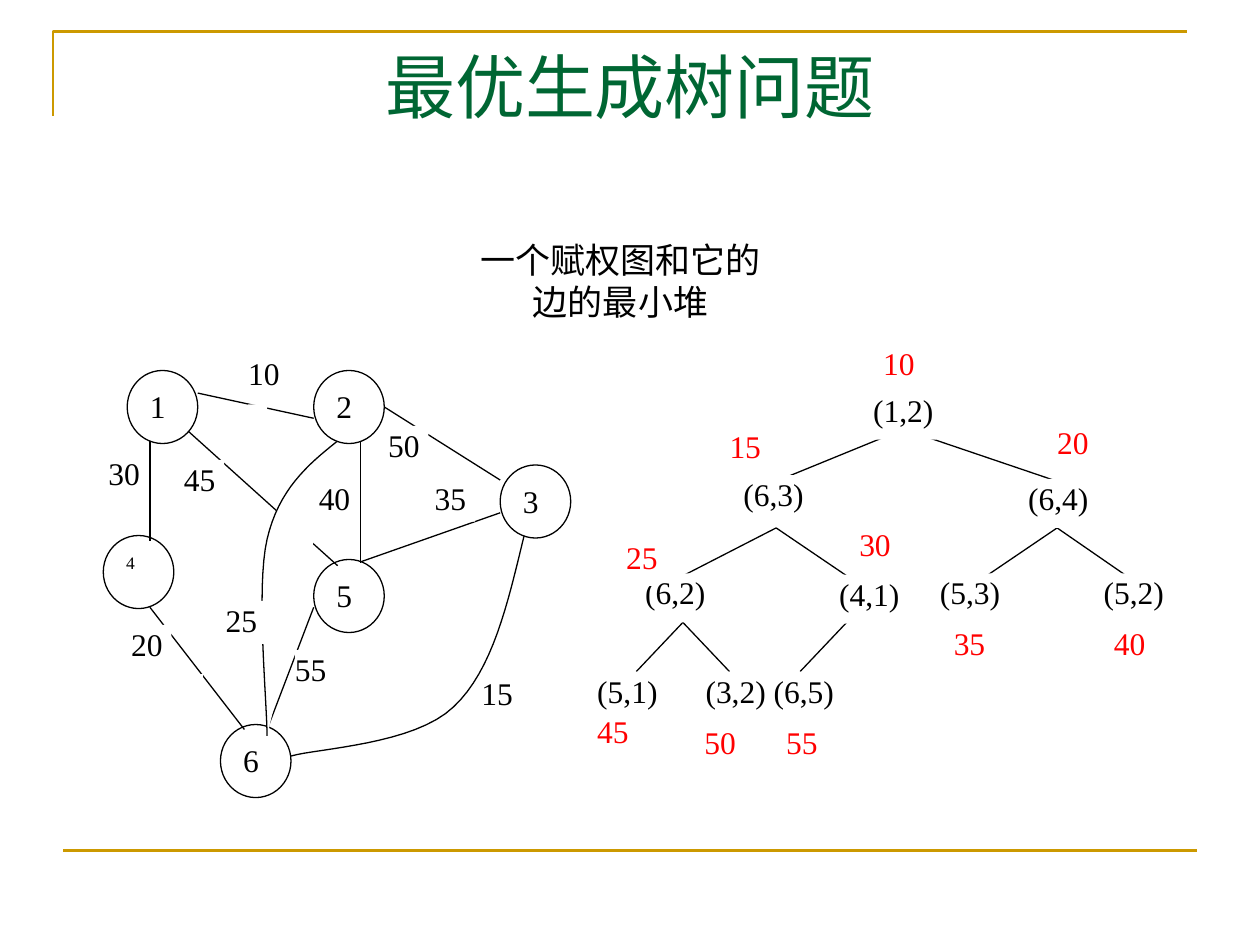
from lxml import etree
from pptx import Presentation
from pptx.dml.color import RGBColor
from pptx.enum.shapes import MSO_CONNECTOR, MSO_SHAPE
from pptx.enum.text import MSO_ANCHOR, PP_ALIGN
from pptx.oxml.ns import qn
from pptx.util import Inches, Pt

BLACK = RGBColor(0, 0, 0)
WHITE = RGBColor(255, 255, 255)
RED = RGBColor(255, 0, 0)
GREEN = RGBColor(0, 0x66, 0x33)
GOLD = RGBColor(0xCC, 0x99, 0)
SERIF, TITLE_FONT = "Times New Roman", "TeX Gyre Pagella"

TITLE = "最优生成树问题"
CAPTION = ["一个赋权图和它的", "边的最小堆"]

# Graph: node -> (left, top, text size)
NODE_SIZE = (0.56, 0.58)
LOWER_NODES = {"5": (2.49, 4.44, 18), "4": (0.82, 4.25, 10),
               "6": (1.75, 5.75, 18), "3": (3.97, 3.69, 18)}
UPPER_NODES = {"1": (1.01, 2.94, 18), "2": (2.49, 2.94, 18)}
GRAPH_EDGES = [
    ((1.19, 3.32), (1.19, 4.29)), ((1.57, 3.12), (2.49, 3.32)),
    ((1.38, 3.32), (2.68, 4.49)), ((3.97, 4.07), (2.86, 4.46)),
    ((2.49, 4.82), (2.12, 5.79)), ((3.05, 3.23), (3.97, 3.81)),
    ((1.19, 4.82), (1.94, 5.79)), ((2.86, 3.5), (2.86, 4.47)),
]
# Each curve is a chain of Bezier points: start, then three per segment
CURVED_EDGES = [
    [(4.16, 4.25), (4.03, 4.79), (3.91, 5.32), (3.6, 5.61),
     (3.29, 5.91), (2.52, 5.94), (2.31, 6)],
    [(2.68, 3.5), (2.44, 3.69), (2.21, 3.89), (2.12, 4.28),
     (2.03, 4.67), (2.12, 5.58), (2.12, 5.84)],
]
WEIGHT_SIZE = (0.32, 0.34)
WEIGHTS = [("10", 1.97, 2.81), ("20", 1.04, 4.96), ("30", 0.86, 3.6),
           ("40", 2.53, 3.8), ("50", 3.08, 3.38), ("25", 1.79, 4.77),
           ("35", 3.45, 3.8), ("55", 2.34, 5.16), ("45", 1.46, 3.65),
           ("15", 3.82, 5.35)]
GAPS = [(1.97, 3.21, 0.15), (3.64, 4.96, 0.18), (1.42, 5.35, 0.19),
        (3.35, 4.32, 0.15), (1.88, 4.18, 0.15)]

# Heap: branch start -> branch ends
BRANCHES = {
    (7.09, 3.44): [(6.16, 3.82)], (7.27, 3.44): [(8.39, 3.82)],
    (6.16, 4.19): [(5.42, 4.57), (6.72, 4.57)],
    (8.39, 4.19): [(7.83, 4.57), (8.94, 4.57)],
    (5.42, 4.94): [(5.05, 5.33), (5.79, 5.33)],
    (6.72, 4.94): [(6.35, 5.33)],
}
PAIR_SIZE, KEY_SIZE = (0.5, 0.39), (0.26, 0.38)
PAIRS = [("(1,2)", 6.93, 3.1), ("(6,3)", 5.9, 3.77), ("(6,4)", 8.16, 3.8),
         ("(6,2)", 5.12, 4.55), ("(4,1)", 6.66, 4.56), ("(5,3)", 7.46, 4.55),
         ("(5,2)", 8.76, 4.55), ("(3,2)", 5.6, 5.33), ("(5,1)", 4.74, 5.33),
         ("(6,5)", 6.14, 5.33)]
KEYS = [("10", 7.01, 2.73), ("15", 5.79, 3.39), ("20", 8.39, 3.36),
        ("25", 4.97, 4.27), ("30", 6.82, 4.17), ("35", 7.57, 4.95),
        ("40", 8.84, 4.95), ("50", 5.59, 5.74), ("55", 6.24, 5.74),
        ("45", 4.74, 5.65)]

prs = Presentation()
prs.slide_width, prs.slide_height = Inches(10), Inches(7.5)
shapes = prs.slides.add_slide(prs.slide_layouts[6]).shapes


def write(shape, lines, size, color=BLACK, font=SERIF, align=PP_ALIGN.JUSTIFY, inset=True):
    """Put top-anchored paragraphs into a shape."""
    frame = shape.text_frame
    frame.word_wrap = True
    frame.vertical_anchor = MSO_ANCHOR.TOP
    if not inset:
        frame.margin_left = frame.margin_right = frame.margin_top = frame.margin_bottom = 0
    for i, line in enumerate(lines):
        para = frame.paragraphs[0] if i == 0 else frame.add_paragraph()
        para.alignment = align
        run = para.add_run()
        run.text = line
        run.font.size, run.font.name = Pt(size), font
        run.font.color.rgb = color


def add_box(left, top, size, kind=MSO_SHAPE.RECTANGLE, outlined=False):
    """Add a white shape, with a thin black outline if asked."""
    box = shapes.add_shape(kind, *map(Inches, (left, top, *size)))
    box.shadow.inherit = False
    box.fill.solid()
    box.fill.fore_color.rgb = WHITE
    if outlined:
        box.line.color.rgb, box.line.width = BLACK, Pt(0.75)
    else:
        box.line.fill.background()
    return box


def add_nodes(nodes):
    """Draw numbered circles."""
    for name, (left, top, size) in nodes.items():
        write(add_box(left, top, NODE_SIZE, MSO_SHAPE.OVAL, True), [name], size)


def add_labels(labels, size, color=BLACK):
    """Draw labels of one size and colour."""
    for text, left, top in labels:
        write(add_box(left, top, size), [text], 18, color, inset=False)


def add_line(start, end, color=BLACK, width=0.75):
    """Draw a straight line."""
    line = shapes.add_connector(MSO_CONNECTOR.STRAIGHT, *map(Inches, (*start, *end)))
    line.line.color.rgb, line.line.width = color, Pt(width)
    etree.SubElement(line._element.spPr, qn("a:effectLst"))


def add_outline(points, color=BLACK, width=0.75, filled=True):
    """Draw an open outline through points given in inches."""
    corners = [(Inches(x), Inches(y)) for x, y in points]
    builder = shapes.build_freeform(*corners[0])
    builder.add_line_segments(corners[1:], close=False)
    outline = builder.convert_to_shape()
    outline.shadow.inherit = False
    outline.line.color.rgb, outline.line.width = color, Pt(width)
    if filled:
        outline.fill.solid()
        outline.fill.fore_color.rgb = WHITE
    else:
        outline.fill.background()


def bezier(chain, steps=16):
    """Return points along a chain of cubic Bezier segments."""
    points = [chain[0]]
    for i in range(0, len(chain) - 1, 3):
        for step in range(1, steps + 1):
            t = step / steps
            weights = ((1 - t) ** 3, 3 * t * (1 - t) ** 2, 3 * t * t * (1 - t), t ** 3)
            points.append(tuple(sum(w * p[axis] for w, p in zip(weights, chain[i:i + 4]))
                                for axis in (0, 1)))
    return points


add_outline([(0.42, 0.92), (0.42, 0.25), (9.42, 0.25)], GOLD, 1.5, filled=False)
add_line((0.5, 6.75), (9.5, 6.75), GOLD, 1.5)
title = shapes.add_textbox(*map(Inches, (0.5, 0.3, 9, 1.25)))
write(title, [TITLE], 40, GREEN, TITLE_FONT, PP_ALIGN.CENTER)

add_nodes(LOWER_NODES)
for start, end in GRAPH_EDGES:
    add_line(start, end)
for chain in CURVED_EDGES:
    add_outline(bezier(chain))
add_nodes(UPPER_NODES)
add_labels(WEIGHTS, WEIGHT_SIZE)
for left, top, width in GAPS:
    add_box(left, top, (width, 0.34))

write(add_box(3.63, 1.84, (2.59, 0.97)), CAPTION, 20, align=PP_ALIGN.CENTER)

for start, ends in BRANCHES.items():
    for end in ends:
        add_line(start, end)
add_labels(PAIRS, PAIR_SIZE)
add_labels(KEYS, KEY_SIZE, RED)

prs.save("out.pptx")
